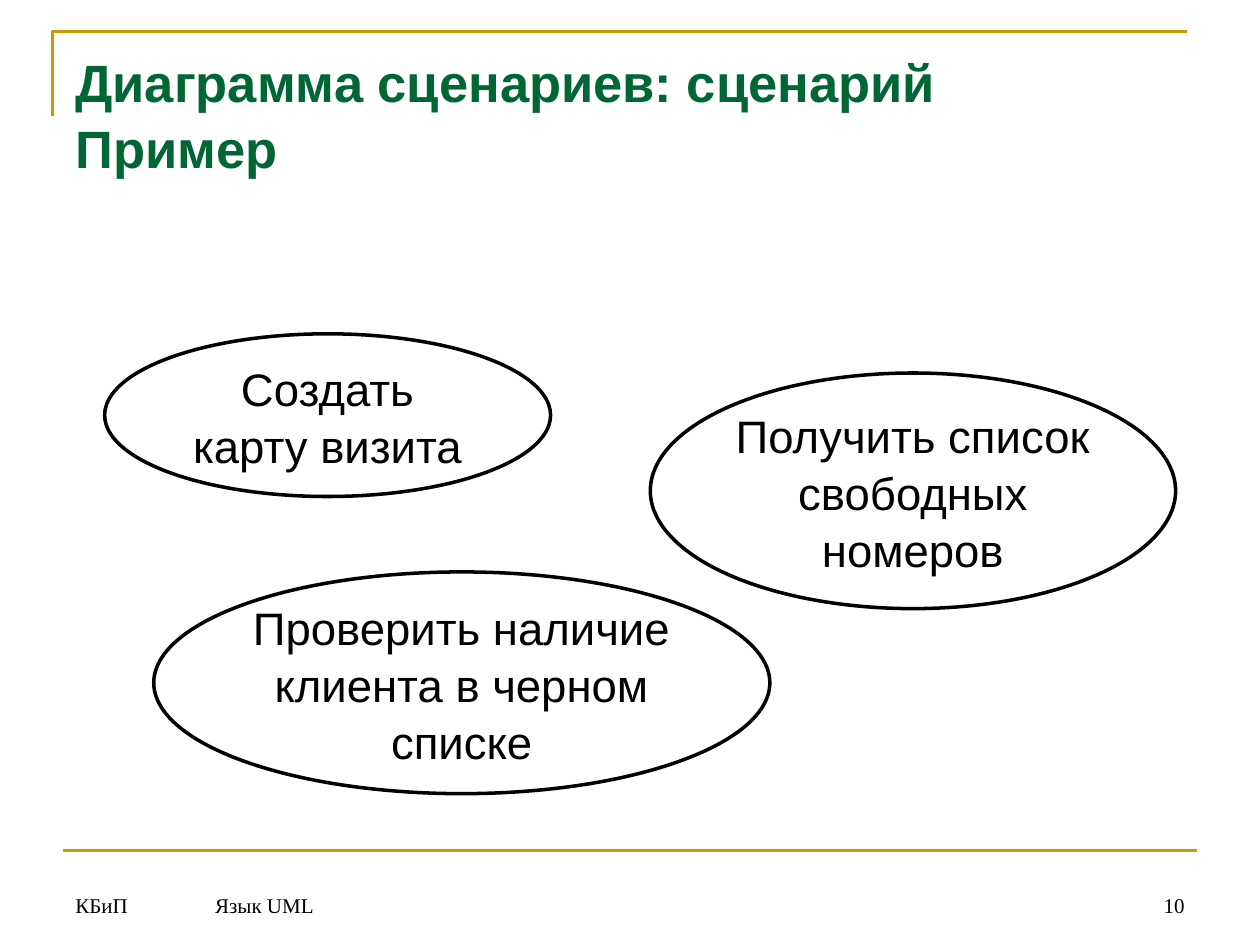
from pptx import Presentation
from pptx.dml.color import RGBColor
from pptx.enum.shapes import MSO_CONNECTOR, MSO_SHAPE
from pptx.enum.text import MSO_ANCHOR, PP_ALIGN
from pptx.oxml.ns import qn
from pptx.util import Cm, Pt
from lxml.etree import SubElement

COLORS = {"gold": "CC9900", "title": "006633", "black": "000000"}


def color(name):
    """Return the named colour."""
    return RGBColor.from_string(COLORS[name])


def style_line(shape, name, width):
    """Set the colour and width of an outline."""
    shape.line.color.rgb = color(name)
    shape.line.width = Pt(width)


def add_run(paragraph, text, font_name, size, color_name, bold=False):
    """Append one formatted run to a paragraph."""
    run = paragraph.add_run()
    run.text = text
    run.font.name = font_name
    run.font.size = Pt(size)
    run.font.bold = bold
    run.font.color.rgb = color(color_name)


def add_text_frame(slide, left, top, width, height, anchor):
    """Add a wrapping text box and return its text frame."""
    frame = slide.shapes.add_textbox(Cm(left), Cm(top), Cm(width), Cm(height)).text_frame
    frame.word_wrap = True
    frame.vertical_anchor = anchor
    return frame


def add_frame_lines(slide):
    """Draw the corner line above the title and the line above the footer."""
    builder = slide.shapes.build_freeform(Cm(1.06), Cm(2.33))
    builder.add_line_segments([(Cm(1.06), Cm(0.64)), (Cm(23.92), Cm(0.64))], close=False)
    corner = builder.convert_to_shape()
    corner.shadow.inherit = False
    corner.fill.background()
    style_line(corner, "gold", 1.5)

    rule = slide.shapes.add_connector(
        MSO_CONNECTOR.STRAIGHT, Cm(1.27), Cm(17.15), Cm(24.13), Cm(17.15))
    SubElement(rule._element.spPr, qn("a:effectLst"))
    style_line(rule, "gold", 1.5)


def add_title(slide, lines):
    """Add the title with a line break between its lines."""
    frame = add_text_frame(slide, 1.27, 0.82, 22.86, 3.18, MSO_ANCHOR.TOP)
    paragraph = frame.paragraphs[0]
    paragraph.line_spacing = 1.05
    for index, line in enumerate(lines):
        if index:
            paragraph.add_line_break()
        add_run(paragraph, line, "Arial", 30, "title", bold=True)


def add_footer(slide, left, width, text, alignment=PP_ALIGN.LEFT):
    """Add one footer field."""
    frame = add_text_frame(slide, left, 17.35, width, 1.27, MSO_ANCHOR.BOTTOM)
    paragraph = frame.paragraphs[0]
    paragraph.alignment = alignment
    add_run(paragraph, text, "Times New Roman", 12, "black")


def add_use_case(slide, left, top, width, height, lines):
    """Add a use case ellipse with one paragraph per line."""
    ellipse = slide.shapes.add_shape(
        MSO_SHAPE.OVAL, Cm(left), Cm(top), Cm(width), Cm(height))
    ellipse.shadow.inherit = False
    ellipse.fill.background()
    style_line(ellipse, "black", 2)
    frame = ellipse.text_frame
    frame.word_wrap = True
    frame.vertical_anchor = MSO_ANCHOR.MIDDLE
    frame.margin_left = frame.margin_right = frame.margin_top = frame.margin_bottom = 0
    for index, line in enumerate(lines):
        paragraph = frame.add_paragraph() if index else frame.paragraphs[0]
        paragraph.alignment = PP_ALIGN.CENTER
        paragraph.line_spacing = 1.05
        add_run(paragraph, line, "Arial", 26, "black")


def main():
    """Build and save the presentation."""
    presentation = Presentation()
    presentation.slide_width = Cm(25.4)
    presentation.slide_height = Cm(19.05)
    slide = presentation.slides.add_slide(presentation.slide_layouts[6])

    add_frame_lines(slide)
    add_footer(slide, 1.27, 2.44, "КБиП")
    add_footer(slide, 4.09, 18.39, "Язык UML")
    add_footer(slide, 22.71, 1.42, "10", PP_ALIGN.RIGHT)
    add_title(slide, ["Диаграмма сценариев: сценарий", "Пример"])
    add_use_case(slide, 2.11, 6.73, 8.99, 3.28, ["Создать", "карту визита"])
    add_use_case(slide, 3.1, 11.53, 12.42, 4.47,
                 ["Проверить наличие", "клиента в черном", "списке"])
    add_use_case(slide, 13.11, 7.52, 10.59, 4.75,
                 ["Получить список", "свободных", "номеров"])

    presentation.save("out.pptx")


if __name__ == "__main__":
    main()
